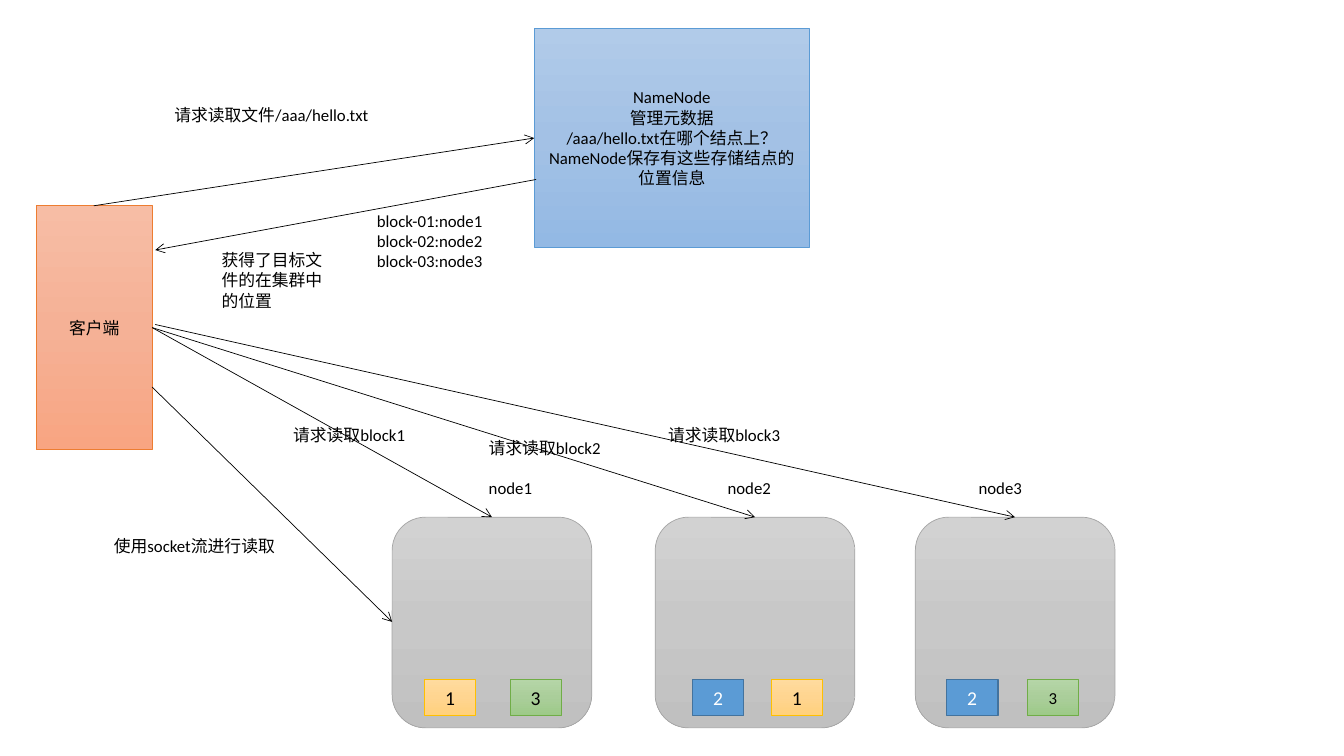
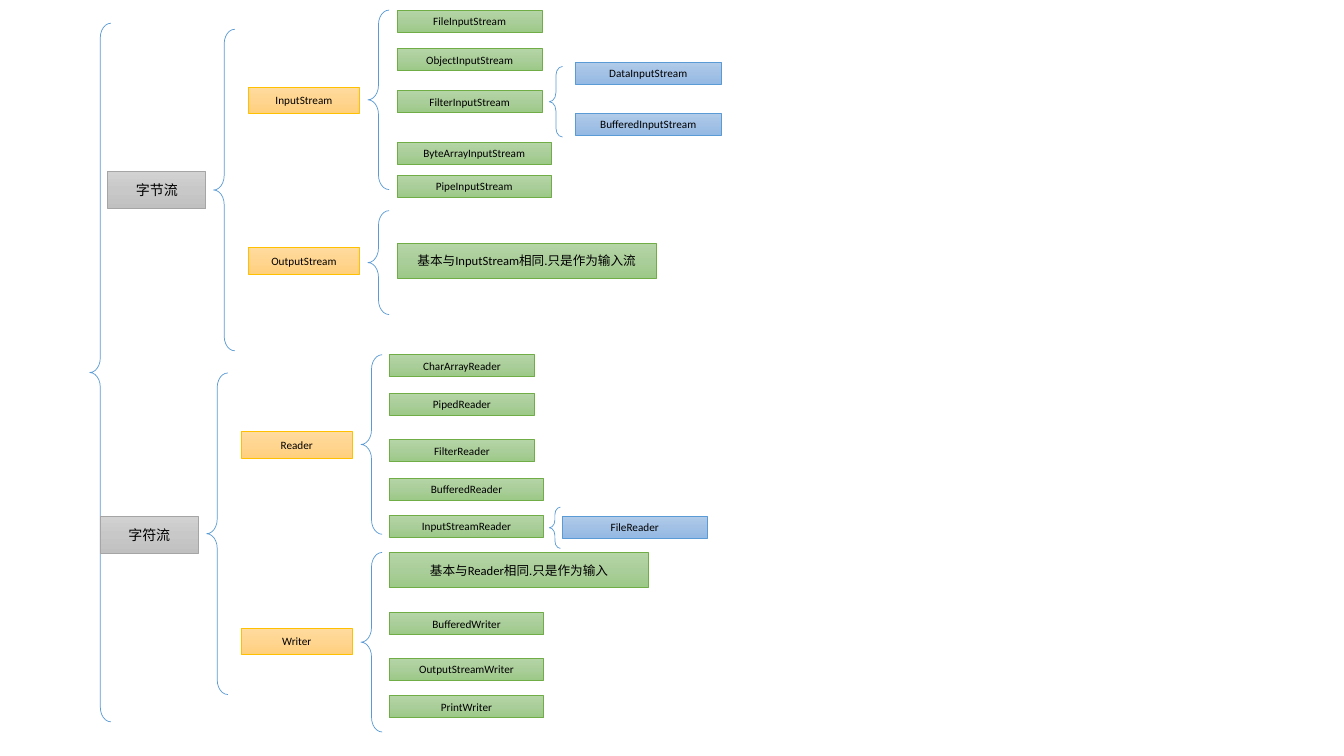
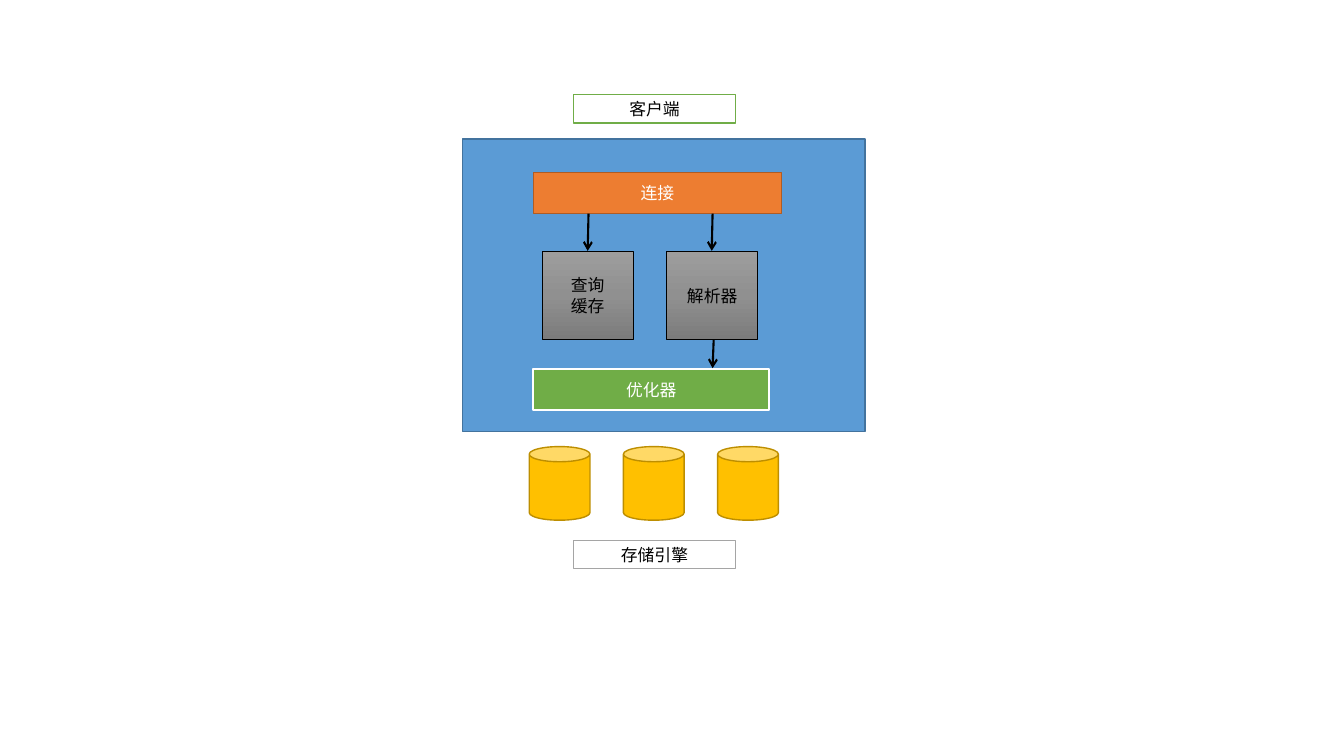
"""Draw three diagrams: reading a distributed file, the I/O stream classes, and a database server."""
import copy

import lxml.etree
import pptx
import pptx.dml.color
import pptx.enum.shapes
import pptx.enum.text
import pptx.oxml.ns
import pptx.util

Pt = pptx.util.Pt
rgb = pptx.dml.color.RGBColor.from_string
qn = pptx.oxml.ns.qn
SHAPE = pptx.enum.shapes.MSO_SHAPE
RECT = SHAPE.RECTANGLE
FONT = "Calibri"
BLACK, WHITE = "000000", "FFFFFF"

STYLES = {
    "salmon": (("F7BDA5", "F5B196", "F8A582"), "ED7D31", 0.5, BLACK),
    "sky": (("B1CBE9", "A3C1E5", "93B9E4"), "5B9BD5", 0.5, BLACK),
    "silver": (("D2D2D2", "C8C8C8", "C0C0C0"), "A5A5A5", 0.5, BLACK),
    "gold": (("FFDB9E", "FFD590", "FFD07C"), "FFC000", 0.5, BLACK),
    "mint": (("B5D5A7", "AACE9A", "9CC987"), "70AD47", 0.5, BLACK),
    "slate": (("9D9D9D", "909090", "7C7C7C"), BLACK, 0.5, BLACK),
    "blue": (("5B9BD5",), "43739E", 1, WHITE),
    "orange": (("ED7D31",), "AF5C24", 1, WHITE),
    "green": (("70AD47",), WHITE, 1.5, WHITE),
    "amber": (("FFC000",), "BD8E00", 1, BLACK),
    "green frame": ((WHITE,), "70AD47", 1, BLACK),
    "gray frame": ((WHITE,), "A5A5A5", 1, BLACK),
    "brace": ((), "5B9BD5", 0.5, BLACK),
}


def add_box(s, kind, x, y, w, h, style, text="", size=12):
    fills, line, width, ink = STYLES[style]
    sp = s.shapes.add_shape(kind, Pt(x), Pt(y), Pt(w), Pt(h))
    sp.shadow.inherit = False
    sp.line.color.rgb = rgb(line)
    sp.line.width = Pt(width)
    if len(fills) == 3:
        sp.fill.gradient()
        sp.fill.gradient_angle = 270
        first = sp._element.spPr.find(".//" + qn("a:gs"))
        first.addnext(copy.deepcopy(first))
        for stop, color, position in zip(sp.fill.gradient_stops, fills, (0, 0.5, 1)):
            stop.color.rgb = rgb(color)
            stop.position = position
    elif fills:
        sp.fill.solid()
        sp.fill.fore_color.rgb = rgb(fills[0])
    else:
        sp.fill.background()
    if text:
        tf = sp.text_frame
        tf.text = text
        tf.vertical_anchor = pptx.enum.text.MSO_ANCHOR.MIDDLE
        for p in tf.paragraphs:
            p.alignment = pptx.enum.text.PP_ALIGN.CENTER
            p.font.name = FONT
            p.font.size = Pt(size)
            p.font.color.rgb = rgb(ink)
    return sp


def add_arrow(s, x1, y1, x2, y2, width):
    c = s.shapes.add_connector(pptx.enum.shapes.MSO_CONNECTOR.STRAIGHT, Pt(x1), Pt(y1), Pt(x2), Pt(y2))
    c.line.color.rgb = rgb(BLACK)
    c.line.width = Pt(width)
    spPr = c._element.spPr
    lxml.etree.SubElement(spPr.find(qn("a:ln")), qn("a:tailEnd"), type="arrow")
    lxml.etree.SubElement(spPr, qn("a:effectLst"))


prs = pptx.Presentation()
prs.slide_width, prs.slide_height = Pt(960), Pt(540)
blank = prs.slide_layouts[6]

s = prs.slides.add_slide(blank)
add_box(s, RECT, 26, 147, 82.8, 174.2, "salmon", "客户端")
add_box(s, RECT, 381.6, 20.2, 196.6, 156.2, "sky",
        "NameNode\n管理元数据\n/aaa/hello.txt在哪个结点上？\nNameNode保存有这些存储结点的位置信息")

block_styles = {"1": "gold", "2": "blue", "3": "mint"}
nodes = [
    (280.1, [("1", 303.1, 14), ("3", 364.3, 14)]),
    (468, [("2", 494.6, 14), ("1", 550.8, 14)]),
    (653.8, [("2", 676.1, 14), ("3", 733.7, 12)]),
]
for node_x, blocks in nodes:
    add_box(s, SHAPE.ROUNDED_RECTANGLE, node_x, 369.4, 142.6, 150.5, "silver")
    for number, x, size in blocks:
        add_box(s, RECT, x, 485.3, 36.7, 25.9, block_styles[number], number, size)

for ends in [
    (67, 147, 381.6, 98.6),
    (383, 128.2, 110.9, 178.6),
    (108.7, 234, 351.4, 369.4),
    (108.7, 234, 539.3, 369.4),
    (110.9, 231.8, 725, 369.4),
    (108.7, 276.5, 280.1, 444.2),
]:
    add_arrow(s, *ends, 0.5)

for text, x, y, w, h in [
    ("请求读取文件/aaa/hello.txt", 117.4, 71.3, 174.2, 21.6),
    ("block-01:node1\nblock-02:node2\nblock-03:node3", 262.1, 147, 161.3, 51.1),
    ("获得了目标文件的在集群中的位置", 151.2, 175, 95, 51.1),
    ("node1", 342, 337.7, 65.5, 21.6),
    ("node2", 512.6, 337.7, 65.5, 21.6),
    ("node3", 691.9, 337.7, 65.5, 21.6),
    ("请求读取block1", 202.3, 299.5, 108, 21.6),
    ("请求读取block2", 342, 308.9, 108, 21.6),
    ("请求读取block3", 470.2, 299.5, 108, 21.6),
    ("使用socket流进行读取", 74.2, 379.4, 141.8, 21.6),
]:
    tf = s.shapes.add_textbox(Pt(x), Pt(y), Pt(w), Pt(h)).text_frame
    tf.word_wrap = True
    tf.text = text
    for p in tf.paragraphs:
        p.font.name = FONT
        p.font.size = Pt(12)
        p.font.color.rgb = rgb(BLACK)

s = prs.slides.add_slide(blank)
for x, y, w, h in [
    (64.1, 16.6, 15.1, 499),
    (152.6, 20.9, 15.1, 229.7),
    (262.8, 7.2, 15.1, 128.2),
    (262.8, 150.5, 15.1, 74.2),
    (392.4, 47.5, 9.4, 50.4),
    (147.6, 266.4, 15.1, 229.7),
    (257.8, 253.4, 15.1, 128.2),
    (257.8, 394.6, 15.1, 128.2),
    (392.4, 362.2, 7.9, 29.5),
]:
    sp = add_box(s, SHAPE.LEFT_BRACE, x, y, w, h, "brace")
    sp.adjustments[0] = 0.689

for style, w, h, size, entries in [
    ("silver", 70, 26.6, 10, [("字节流", 77, 122.4), ("字符流", 71.6, 368.6)]),
    ("gold", 79.2, 18.7, 8, [
        ("InputStream", 177.6, 62.2), ("OutputStream", 177.6, 177),
        ("Reader", 172.4, 308.4), ("Writer", 172.4, 448.9)]),
    ("mint", 103.7, 15.8, 8, [
        ("FileInputStream", 283.7, 7.4), ("ObjectInputStream", 283.7, 34.6),
        ("FilterInputStream", 283.7, 64.8), ("CharArrayReader", 278.2, 253.4),
        ("PipedReader", 278.2, 280.8), ("FilterReader", 278.2, 314)]),
    ("mint", 110.2, 15.8, 8, [
        ("ByteArrayInputStream", 283.7, 101.5), ("PipeInputStream", 283.7, 125.3),
        ("BufferedReader", 278.2, 341.5), ("InputStreamReader", 278.2, 368),
        ("BufferedWriter", 278.2, 437.6), ("OutputStreamWriter", 278.2, 470.2),
        ("PrintWriter", 278.2, 496.8)]),
    ("mint", 185, 25.2, 9, [
        ("基本与InputStream相同.只是作为输入流", 283.7, 173.7),
        ("基本与Reader相同.只是作为输入", 278.2, 394.6)]),
    ("sky", 103.7, 15.8, 8, [
        ("DataInputStream", 411.3, 44.6), ("BufferedInputStream", 411.3, 81),
        ("FileReader", 401.6, 368.6)]),
]:
    for text, x, y in entries:
        add_box(s, RECT, x, y, w, h, style, text, size)

s = prs.slides.add_slide(blank)
for x, y, w, h, style, text in [
    (330.5, 99.3, 287.3, 208.8, "blue", ""),
    (381, 123.1, 177.1, 29.5, "orange", "连接"),
    (387.2, 179.2, 65, 63.4, "slate", "查询\n缓存"),
    (476.2, 179.2, 65, 63.4, "slate", "解析器"),
    (381, 263.6, 168.5, 29.5, "green", "优化器"),
    (409.8, 67.6, 115.4, 20.3, "green frame", "客户端"),
    (409.8, 386, 115.4, 20.3, "gray frame", "存储引擎"),
]:
    add_box(s, RECT, x, y, w, h, style, text)

for i in range(3):
    add_box(s, SHAPE.CAN, 378 + 67.3 * i, 319, 43.4, 52.6, "amber")

for ends in [
    (420.4, 152.6, 419.8, 179.2),
    (509, 152.6, 508.4, 179.2),
    (509.8, 242.6, 509, 263),
]:
    add_arrow(s, *ends, 1.5)

prs.save("out.pptx")
